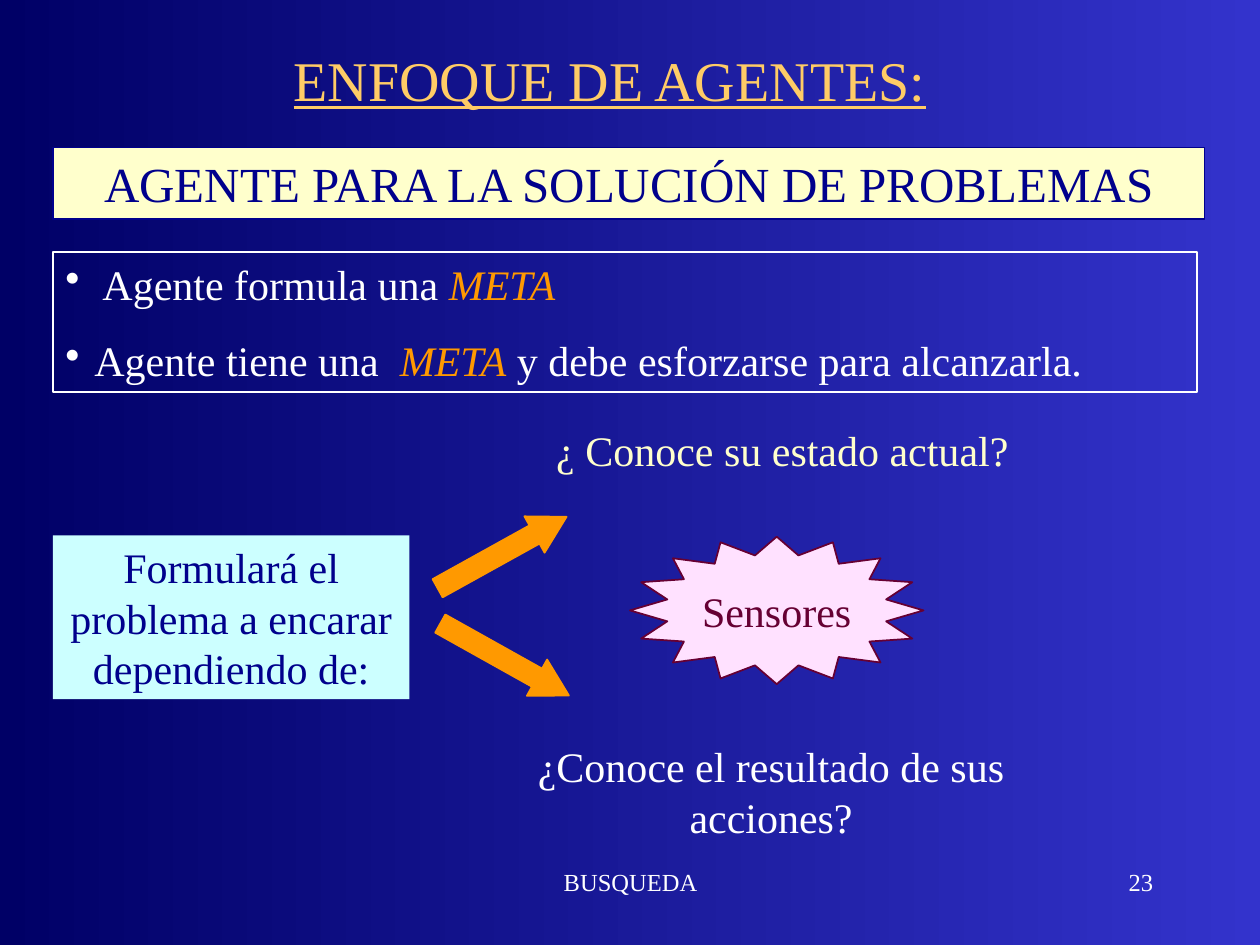
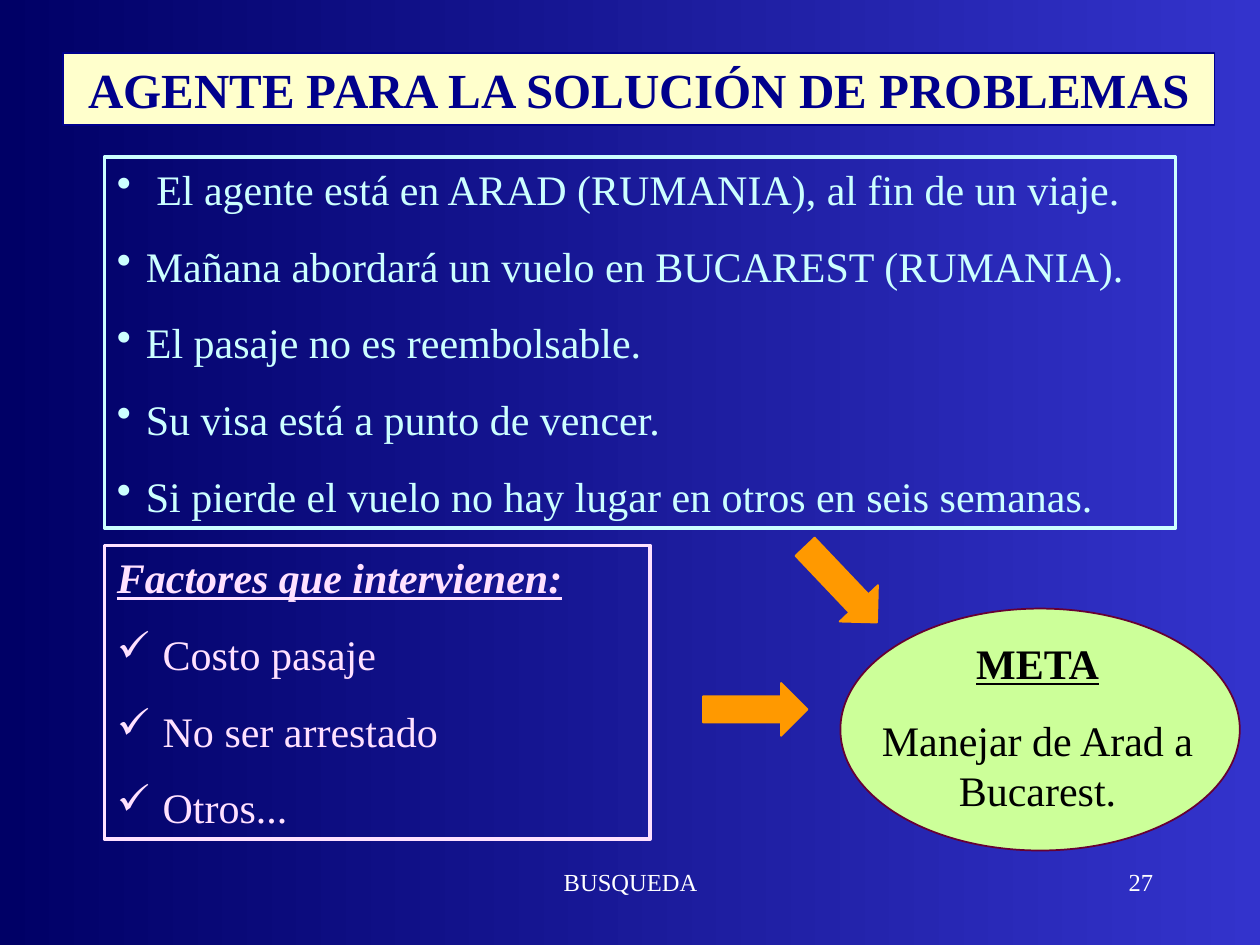
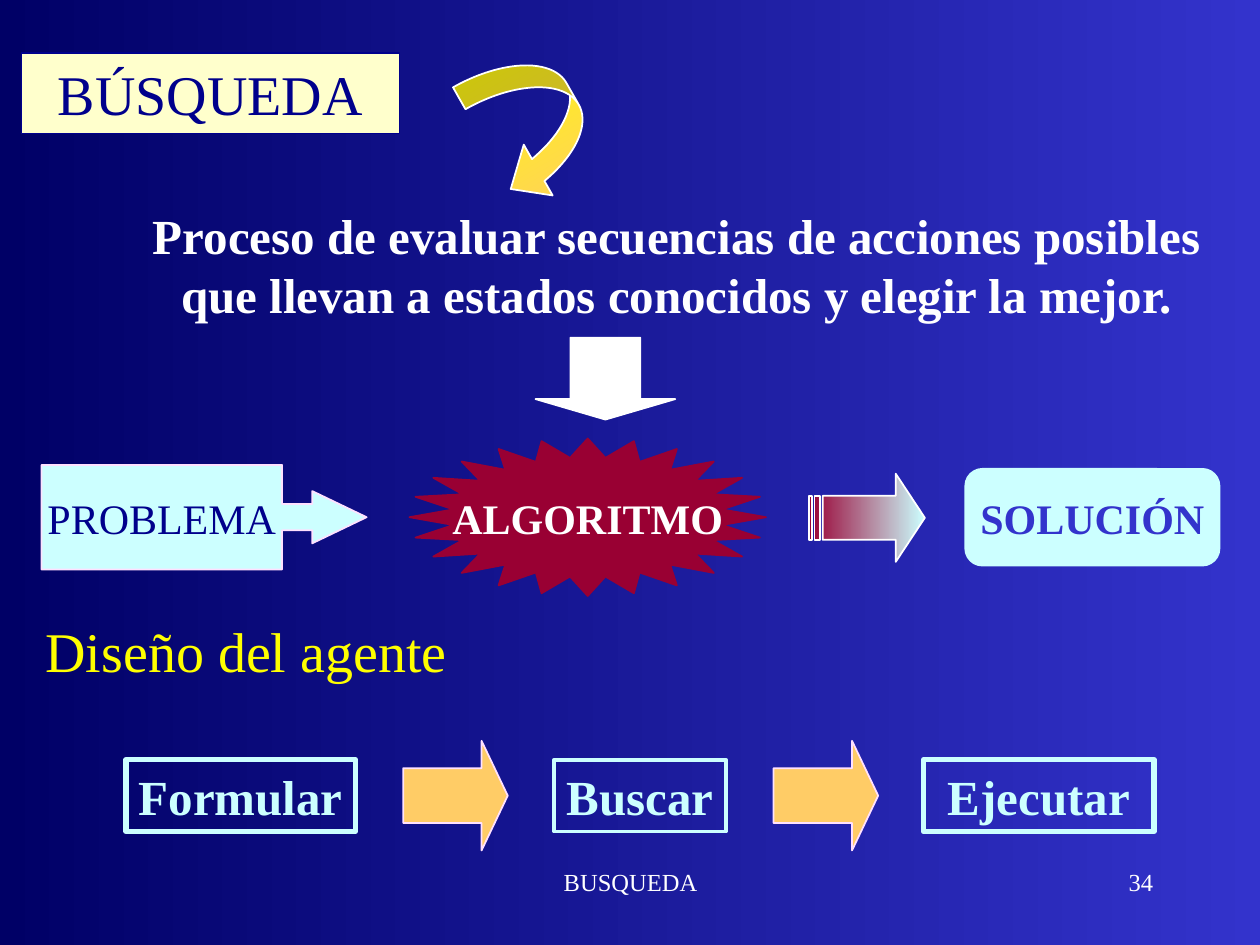
import lxml.etree
import pptx
import pptx.dml.color
import pptx.enum.shapes
import pptx.enum.text
import pptx.oxml.ns
import pptx.util

Inches = pptx.util.Inches
Pt = pptx.util.Pt
SHAPE = pptx.enum.shapes.MSO_SHAPE
ALIGN = pptx.enum.text.PP_ALIGN
ANCHOR = pptx.enum.text.MSO_ANCHOR

FONT = "Times New Roman"
WHITE = "FFFFFF"
BLACK = "000000"
NAVY = "00008C"
BLUE = "3333CC"
DEEP_BLUE = "000066"
CREAM = "FFFFCC"
CYAN = "CCFFFF"
PINK = "FFE1FF"
ORANGE = "FF9900"
GOLD = "FFCC66"
YELLOW = "FFFF00"
LIME = "CCFF99"
WINE = "660033"
CRIMSON = "990033"

AGENT_HEADING = "AGENTE PARA LA SOLUCIÓN DE PROBLEMAS"


def rgb(color):
    return pptx.dml.color.RGBColor.from_string(color)


def fill_gradient(fill, start, end, angle):
    fill.gradient()
    fill.gradient_angle = angle
    for stop, color in zip(fill.gradient_stops, (start, end)):
        stop.color.rgb = rgb(color)


def style_outline(shape, fill=None, line=None, width=1):
    if fill:
        shape.fill.solid()
        shape.fill.fore_color.rgb = rgb(fill)
    else:
        shape.fill.background()
    if line:
        shape.line.color.rgb = rgb(line)
        shape.line.width = Pt(width)
    else:
        shape.line.fill.background()


def add_bullet(paragraph, symbol, color, indent):
    properties = paragraph._p.get_or_add_pPr()
    properties.set("marL", str(Inches(indent)))
    properties.set("indent", str(-Inches(indent)))
    qualified = pptx.oxml.ns.qn
    bullet_color = lxml.etree.SubElement(properties, qualified("a:buClr"))
    lxml.etree.SubElement(bullet_color, qualified("a:srgbClr"), val=color)
    lxml.etree.SubElement(properties, qualified("a:buChar"), char=symbol)


def format_paragraph(paragraph, size, color, bold=False, italic=False,
                     underline=False, align=ALIGN.CENTER):
    paragraph.alignment = align
    font = paragraph.font
    font.name = FONT
    font.size = Pt(size)
    font.color.rgb = rgb(color)
    font.bold = bold
    font.italic = italic
    font.underline = underline


def write_lines(shape, lines, size, color, anchor=ANCHOR.TOP, wrap=True,
                bullet=None, indent=0.23, heading=None, **style):
    frame = shape.text_frame
    frame.auto_size = pptx.enum.text.MSO_AUTO_SIZE.NONE
    frame.word_wrap = wrap
    frame.vertical_anchor = anchor
    for index, line in enumerate(lines):
        paragraph = frame.paragraphs[0] if index == 0 else frame.add_paragraph()
        is_heading = heading is not None and index == 0
        if bullet and not is_heading:
            add_bullet(paragraph, bullet, color, indent)
        if index:
            paragraph.space_before = Pt(15)
        paragraph_style = {**style, **heading} if is_heading else style
        format_paragraph(paragraph, size, color, **paragraph_style)
        for position, part in enumerate(line.split("META") if bullet else [line]):
            if position:
                goal = paragraph.add_run()
                goal.text = "META"
                goal.font.italic = True
                goal.font.color.rgb = rgb(ORANGE)
            if part:
                paragraph.add_run().text = part


def add_text(shapes, place, lines, size, color, **style):
    box = shapes.add_textbox(*map(Inches, place))
    write_lines(box, lines, size, color, **style)


def add_figure(shapes, kind, place, fill=None, line=None, width=1,
               adjustments=(), rotation=0):
    shape = shapes.add_shape(kind, *map(Inches, place))
    shape.shadow.inherit = False
    shape.rotation = rotation
    for index, value in enumerate(adjustments):
        shape.adjustments[index] = value
    style_outline(shape, fill, line, width)
    return shape


def add_label(shapes, kind, place, text, size, color, fill, line,
              width=1, adjustments=(), bold=False):
    shape = add_figure(shapes, kind, place, fill, line, width, adjustments)
    write_lines(shape, [text], size, color, anchor=ANCHOR.MIDDLE, wrap=False, bold=bold)


def add_list(shapes, place, lines, color, width, bullet="•", **style):
    box = add_figure(shapes, SHAPE.RECTANGLE, place, line=color, width=width)
    write_lines(box, lines, 24, color, bullet=bullet, align=ALIGN.LEFT, **style)


def add_slide(presentation, number, title, place, size, color=NAVY,
              fill=CREAM, line=NAVY, **style):
    slide = presentation.slides.add_slide(presentation.slide_layouts[5])
    heading = slide.shapes.title
    heading.left, heading.top, heading.width, heading.height = map(Inches, place)
    style_outline(heading, fill, line)
    write_lines(heading, [title], size, color, **style)
    add_text(slide.shapes, (3.42, 6.83, 3.17, 0.5), ["BUSQUEDA"], 14, WHITE)
    add_text(slide.shapes, (7.17, 6.83, 2.08, 0.5), [str(number)], 14, WHITE,
             align=ALIGN.RIGHT)
    return slide.shapes


def build_agent_approach(presentation):
    shapes = add_slide(presentation, 23, "ENFOQUE DE AGENTES:", (2.22, 0.31, 5.24, 0.64),
                       32, GOLD, fill=None, line=None, underline=True)
    band = add_figure(shapes, SHAPE.RECTANGLE, (0.42, 1.17, 9.14, 0.57), CREAM, NAVY)
    write_lines(band, [AGENT_HEADING], 28, NAVY)
    add_list(shapes, (0.42, 2, 9.08, 1.11),
             [" Agente formula una META",
              "Agente tiene una  META y debe esforzarse para alcanzarla."], WHITE, 1)
    problem = add_figure(shapes, SHAPE.RECTANGLE, (0.42, 4.25, 2.83, 1.3), CYAN)
    write_lines(problem, ["Formulará el problema a encarar dependiendo de:"], 24, NAVY)
    add_text(shapes, (4, 3.32, 4.42, 0.5), ["¿ Conoce su estado actual?"], 24, CREAM)
    add_text(shapes, (4.08, 5.83, 4.08, 0.9),
             ["¿Conoce el resultado de sus acciones?"], 24, WHITE)
    add_label(shapes, SHAPE.STAR_16_POINT, (5, 4.26, 2.33, 1.17), "Sensores", 24,
              WINE, PINK, WINE, adjustments=(0.38,))
    for left, top, rotation in ((3.4, 4.22, 331), (3.42, 5.07, 29.2)):
        add_figure(shapes, SHAPE.RIGHT_ARROW, (left, top, 1.17, 0.33), ORANGE, ORANGE,
                   adjustments=(0.5, 0.88), rotation=rotation)


def build_travel_example(presentation):
    shapes = add_slide(presentation, 27, AGENT_HEADING, (0.5, 0.42, 9.14, 0.57), 28, bold=True)
    add_list(shapes, (0.83, 1.25, 8.5, 2.94),
             [" El agente está en ARAD (RUMANIA), al fin de un viaje.",
              "Mañana abordará un vuelo en BUCAREST (RUMANIA).",
              "El pasaje no es reembolsable.",
              "Su visa está a punto de vencer.",
              "Si pierde el vuelo no hay lugar en otros en seis semanas."], CYAN, 2.25)
    add_list(shapes, (0.83, 4.33, 4.33, 2.33),
             ["Factores que intervienen:", " Costo pasaje", " No ser arrestado", " Otros..."],
             PINK, 2.25, bullet="✓", indent=0.28,
             heading={"bold": True, "italic": True, "underline": True})
    goal = shapes.add_group_shape().shapes
    add_figure(goal, SHAPE.OVAL, (6.67, 4.83, 3.17, 1.92), LIME, WINE)
    add_text(goal, (6.9, 5.01, 2.67, 1.51), ["META", "Manejar de Arad a Bucarest."],
             24, BLACK, heading={"bold": True, "underline": True})
    for left, top, rotation in ((5.58, 5.42, 0), (6.26, 4.43, 46.5)):
        add_figure(shapes, SHAPE.RIGHT_ARROW, (left, top, 0.83, 0.42), ORANGE, ORANGE,
                   rotation=rotation)


def build_search(presentation):
    shapes = add_slide(presentation, 34, "BÚSQUEDA", (0.17, 0.42, 3, 0.64), 32)
    add_text(shapes, (1.08, 1.58, 8.58, 1.04),
             ["Proceso de evaluar secuencias de acciones posibles "
              "que llevan a estados conocidos y elegir la mejor."], 28, WHITE, bold=True)
    add_label(shapes, SHAPE.STAR_24_POINT, (3.25, 3.48, 2.83, 1.25), "ALGORITMO", 24,
              WHITE, CRIMSON, CRIMSON, adjustments=(0.38,), bold=True)
    add_label(shapes, SHAPE.RIGHT_ARROW_CALLOUT, (0.33, 3.69, 2.58, 0.83), "PROBLEMA", 24,
              NAVY, CYAN, PINK, adjustments=(0.25, 0.25, 0.52, 0.74))
    add_label(shapes, SHAPE.ROUNDED_RECTANGLE, (7.67, 3.73, 2, 0.75), "SOLUCIÓN", 24,
              BLUE, CYAN, CYAN, 2.25, (0.17,), bold=True)
    result_arrow = add_figure(shapes, SHAPE.STRIPED_RIGHT_ARROW, (6.42, 3.76, 0.92, 0.7),
                              line=WHITE, adjustments=(0.5, 0.33))
    fill_gradient(result_arrow.fill, CYAN, CRIMSON, 180)
    curved_arrow = add_figure(shapes, SHAPE.CURVED_LEFT_ARROW, (3.83, 0.42, 0.8, 1.16),
                              line=WHITE, adjustments=(0.25, 0.58, 0.33), rotation=330.4)
    fill_gradient(curved_arrow.fill, YELLOW, GOLD, 270)
    add_figure(shapes, SHAPE.DOWN_ARROW, (4.25, 2.68, 1.11, 0.65), WHITE, WHITE,
               adjustments=(0.5, 0.25))
    add_text(shapes, (0.26, 4.84, 3.39, 0.64), ["Diseño del agente"], 32, YELLOW,
             anchor=ANCHOR.MIDDLE, wrap=False)
    steps = (("Formular", 1, 1.82, 3), ("Buscar", 4.4, 1.36, 2.25), ("Ejecutar", 7.33, 1.83, 3))
    for text, left, box_width, line_width in steps:
        add_label(shapes, SHAPE.RECTANGLE, (left, 6.03, box_width, 0.57), text, 28,
                  CYAN, None, CYAN, line_width, bold=True)
    for left in (3.2, 6.14):
        add_figure(shapes, SHAPE.RIGHT_ARROW, (left, 5.88, 0.83, 0.87), GOLD, PINK,
                   adjustments=(0.5, 0.25))


def main():
    presentation = pptx.Presentation()
    presentation.slide_width = Inches(10)
    presentation.slide_height = Inches(7.5)
    fill_gradient(presentation.slide_master.background.fill, BLUE, DEEP_BLUE, 180)
    build_agent_approach(presentation)
    build_travel_example(presentation)
    build_search(presentation)
    presentation.save("out.pptx")


if __name__ == "__main__":
    main()
